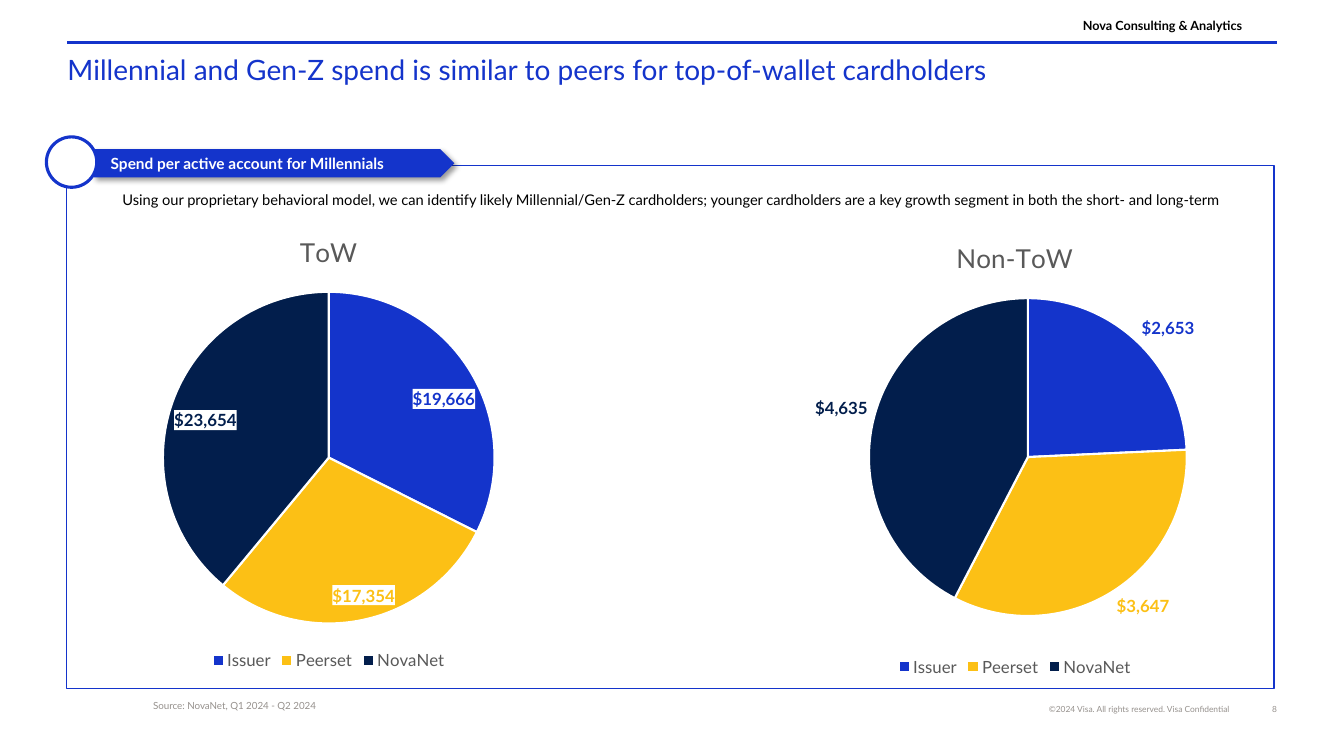
from pptx import Presentation
from pptx.chart.data import CategoryChartData
from pptx.dml.color import RGBColor
from pptx.enum.chart import XL_CHART_TYPE, XL_LABEL_POSITION, XL_LEGEND_POSITION
from pptx.enum.shapes import MSO_CONNECTOR, MSO_SHAPE
from pptx.enum.text import MSO_ANCHOR, PP_ALIGN
from pptx.oxml import parse_xml
from pptx.oxml.ns import nsdecls, qn
from pptx.util import Cm, Pt

LEFT, CENTER, RIGHT = PP_ALIGN.LEFT, PP_ALIGN.CENTER, PP_ALIGN.RIGHT
TOP, BOTTOM = MSO_ANCHOR.TOP, MSO_ANCHOR.BOTTOM
BEST_FIT, OUTSIDE_END = XL_LABEL_POSITION.BEST_FIT, XL_LABEL_POSITION.OUTSIDE_END
FONT = "Lato"
MONEY = '"$"#,##0'
COLORS = {"blue": "1434CB", "yellow": "FCC015", "navy": "021E4C", "white": "FFFFFF",
          "black": "000000", "gray": "96918D", "chart text": "595959"}

# Content; places are left, top, width, height in cm
TITLE = "Millennial and Gen-Z spend is similar to peers for top-of-wallet cardholders"
TITLE_PLACE = (1.7, 1.32, 30.43, 1.47)
PANEL_PLACE = (1.68, 4.17, 30.43, 13.18)
TAG_PLACE = (2.36, 3.76, 9.09, 0.71)
CIRCLE_PLACE = (1.17, 3.45, 1.27, 1.27)
RULE_LEFT, RULE_RIGHT, RULE_TOP = 1.7, 32.18, 1.07

# text, place, size, color, bold, alignment, anchor
TEXTS = [
    ("©2024 Visa. All rights reserved. Visa Confidential",
     (25.32, 17.75, 5.66, 0.25), 6, "gray", False, RIGHT, BOTTOM),
    ("8", (31.09, 17.75, 1.09, 0.25), 6, "gray", False, RIGHT, TOP),
    ("Nova Consulting & Analytics",
     (26.37, 0.48, 4.93, 0.36), 9, "black", True, RIGHT, BOTTOM),
    ("Spend per active account for Millennials",
     (2.79, 3.89, 9.47, 0.48), 11, "white", True, LEFT, TOP),
    ("Source: NovaNet, Q1 2024 - Q2 2024",
     (3.86, 17.63, 17.68, 0.74), 7, "gray", False, LEFT, TOP),
    ("Using our proprietary behavioral model, we can identify likely Millennial/Gen-Z "
     "cardholders; younger cardholders are a key growth segment in both the short- and long-term",
     (1.75, 4.8, 30.35, 0.9), 10.5, "black", False, CENTER, TOP),
]

CATEGORIES = ["Issuer", "Peerset", "NovaNet"]
SLICE_COLORS = ["blue", "yellow", "navy"]
PIES = [
    {"name": "ToW", "values": (19666, 17354, 23654), "place": (1.68, 5.38, 13.21, 11.61),
     "plot": (0.18, 0.17, 0.64, 0.72), "labels": BEST_FIT, "boxed": True},
    {"name": "Non-ToW", "values": (2653, 3647, 4635), "place": (18.97, 5.54, 13.21, 11.61),
     "plot": (0.22, 0.17, 0.61, 0.69), "labels": OUTSIDE_END, "boxed": False},
]


def color(name):
    return RGBColor.from_string(COLORS[name])


def lengths(place):
    return [Cm(value) for value in place]


def style_font(font, size, name, bold=False):
    font.name, font.size, font.bold = FONT, Pt(size), bold
    font.color.rgb = color(name)


def write(frame, text, size, name, bold, alignment, anchor):
    frame.word_wrap = True
    frame.vertical_anchor = anchor
    frame.margin_left = frame.margin_right = frame.margin_top = frame.margin_bottom = 0
    para = frame.paragraphs[0]
    para.alignment = alignment
    span = para.add_run()
    span.text = text
    style_font(span.font, size, name, bold)


def add_box(page, preset, place, fill, line=None, width=1):
    box = page.shapes.add_shape(preset, *lengths(place))
    box.shadow.inherit = False
    box.fill.solid()
    box.fill.fore_color.rgb = color(fill)
    if line:
        box.line.color.rgb = color(line)
        box.line.width = Pt(width)
    else:
        box.line.fill.background()
    return box


def add_pie(page, pie):
    data = CategoryChartData(number_format=MONEY)
    data.categories = CATEGORIES
    data.add_series(pie["name"], pie["values"])
    chart = page.shapes.add_chart(XL_CHART_TYPE.PIE, *lengths(pie["place"]), data).chart
    style_font(chart.font, 10, "black")

    # Title and legend
    chart.has_title = True
    span = chart.chart_title.text_frame.paragraphs[0].add_run()
    span.text = pie["name"]
    style_font(span.font, 18.6, "chart text")
    chart.has_legend = True
    chart.legend.position = XL_LEGEND_POSITION.BOTTOM
    chart.legend.include_in_layout = False
    style_font(chart.legend.font, 12, "chart text")

    # Slices and their labels
    plot = chart.plots[0]
    plot.vary_by_categories = True
    series = plot.series[0]
    labels = series.data_labels
    labels.show_value = True
    labels.number_format, labels.number_format_is_linked = MONEY, False
    labels.position = pie["labels"]
    style_font(labels.font, 12, "blue", True)
    for index, name in enumerate(SLICE_COLORS):
        point = series.points[index]
        point.format.fill.solid()
        point.format.fill.fore_color.rgb = color(name)
        point.format.line.color.rgb = color("white")
        point.format.line.width = Pt(1.5)
        style_font(point.data_label.font, 12, name, True)
        point.data_label.position = pie["labels"]
    if pie["boxed"]:
        for label in series._element.findall(".//" + qn("c:dLbl")):
            label.find(qn("c:txPr")).addprevious(parse_xml(
                f'<c:spPr {nsdecls("c", "a")}><a:solidFill>'
                f'<a:srgbClr val="{COLORS["white"]}"/></a:solidFill></c:spPr>'))

    # Place of the pie inside its chart
    area = chart._chartSpace.find(".//" + qn("c:plotArea"))
    for old in area.findall(qn("c:layout")):
        area.remove(old)
    sides = "".join(f'<c:{side} val="{value}"/>' for side, value in zip("xywh", pie["plot"]))
    area.insert(0, parse_xml(
        f'<c:layout {nsdecls("c")}><c:manualLayout><c:layoutTarget val="inner"/>'
        f'<c:xMode val="edge"/><c:yMode val="edge"/>{sides}</c:manualLayout></c:layout>'))


def main():
    deck = Presentation()
    deck.slide_width, deck.slide_height = Cm(33.87), Cm(19.05)
    page = deck.slides.add_slide(deck.slide_layouts[5])

    # Title and rule above it
    title = page.shapes.title
    title.left, title.top, title.width, title.height = lengths(TITLE_PLACE)
    write(title.text_frame, TITLE, 20, "blue", False, LEFT, TOP)
    rule = page.shapes.add_connector(
        MSO_CONNECTOR.STRAIGHT, Cm(RULE_LEFT), Cm(RULE_TOP), Cm(RULE_RIGHT), Cm(RULE_TOP))
    rule.line.color.rgb = color("blue")
    rule.line.width = Pt(1.5)
    rule._element.spPr.append(parse_xml(f'<a:effectLst {nsdecls("a")}/>'))

    # Panel with its tag and circle
    add_box(page, MSO_SHAPE.RECTANGLE, PANEL_PLACE, "white", "blue")
    tag = add_box(page, MSO_SHAPE.PENTAGON, TAG_PLACE, "blue")
    tag._element.spPr.find(qn("a:effectLst")).append(parse_xml(
        f'<a:outerShdw {nsdecls("a")} blurRad="{Pt(4)}" dist="{Pt(3)}" dir="2700000">'
        f'<a:srgbClr val="{COLORS["black"]}"><a:alpha val="40000"/></a:srgbClr></a:outerShdw>'))
    add_box(page, MSO_SHAPE.OVAL, CIRCLE_PLACE, "white", "blue", 2.25)

    # Texts and charts
    for text, place, *style in TEXTS:
        write(page.shapes.add_textbox(*lengths(place)).text_frame, text, *style)
    for pie in PIES:
        add_pie(page, pie)
    deck.save("out.pptx")


if __name__ == "__main__":
    main()
